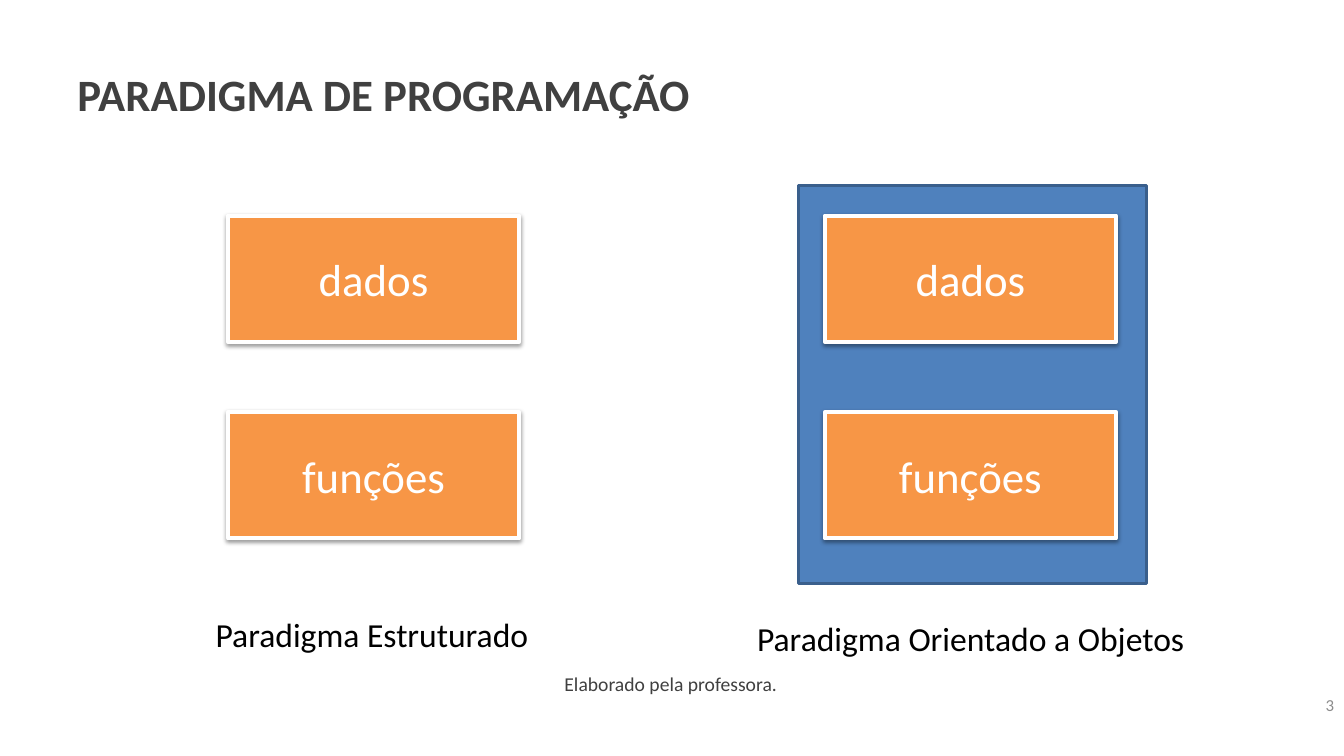
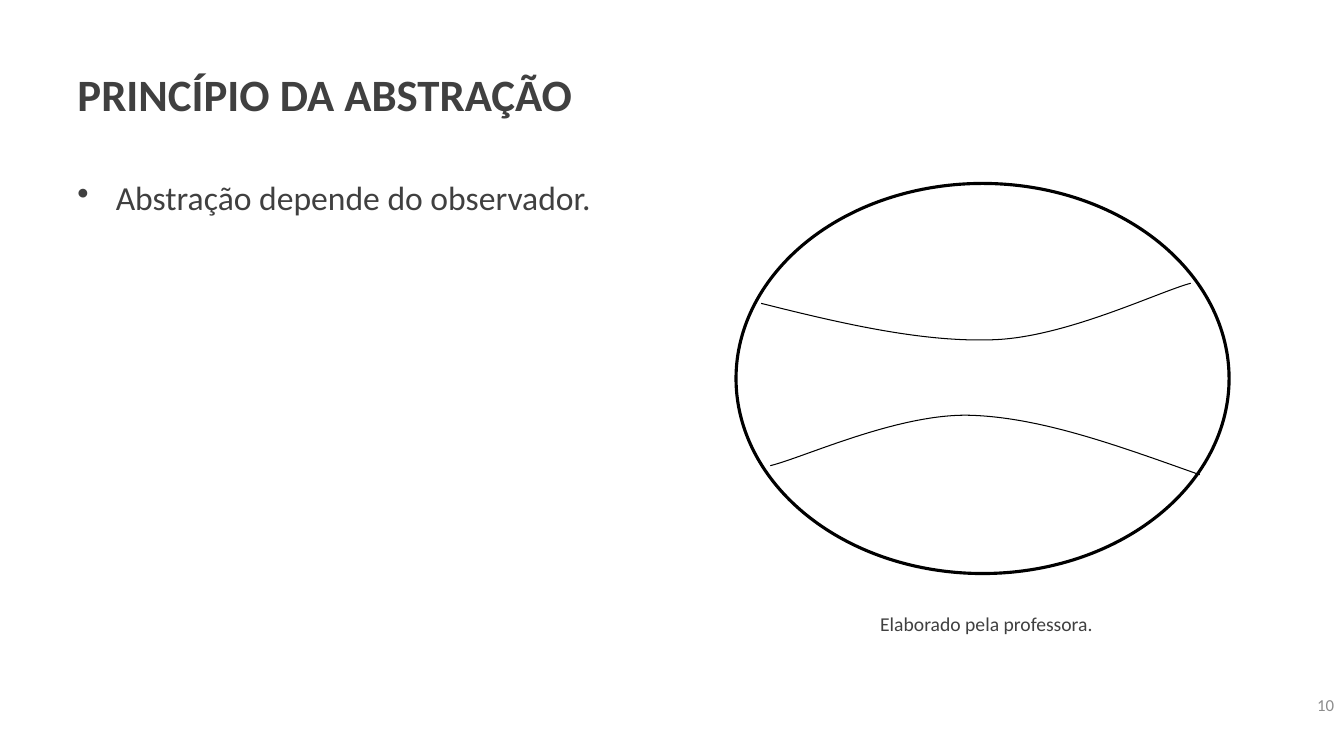
from dataclasses import dataclass

from lxml import etree
from pptx import Presentation
from pptx.dml.color import RGBColor
from pptx.enum.shapes import MSO_SHAPE
from pptx.enum.text import MSO_ANCHOR, MSO_AUTO_SIZE, PP_ALIGN
from pptx.oxml import parse_xml
from pptx.oxml.ns import nsdecls, qn
from pptx.util import Pt

RECTANGLE, OVAL = MSO_SHAPE.RECTANGLE, MSO_SHAPE.OVAL
TOP, MIDDLE = MSO_ANCHOR.TOP, MSO_ANCHOR.MIDDLE
LEFT, CENTER, RIGHT, JUSTIFY = PP_ALIGN.LEFT, PP_ALIGN.CENTER, PP_ALIGN.RIGHT, PP_ALIGN.JUSTIFY
FIT_SHAPE, FIT_NONE = MSO_AUTO_SIZE.SHAPE_TO_FIT_TEXT, MSO_AUTO_SIZE.NONE
PX = 9144


@dataclass(frozen=True)
class Theme:
    """Colours, font and type sizes shared by the slides."""
    font: str = "Calibri"
    white: str = "FFFFFF"
    black: str = "000000"
    text: str = "404040"
    muted: str = "8C8C8C"
    orange: str = "F79646"
    blue: str = "4F81BD"
    blue_edge: str = "3A5F8C"
    title_size: int = 32
    body_size: int = 24
    credit_size: int = 14
    number_size: int = 12


class Deck:
    """Presentation with a theme and the slide being drawn."""

    def __init__(self, theme):
        """Start an empty wide presentation."""
        self.theme = theme
        self.file = Presentation()
        self.file.slide_width, self.file.slide_height = 1333 * PX, 750 * PX
        self.page = None

    def add_page(self, title, number):
        """Add a slide with its title and page number."""
        theme = self.theme
        self.page = self.file.slides.add_slide(self.file.slide_layouts[6])
        self.add_text(title, (67, 30, 1200, 125), theme.title_size, theme.text,
                      bold=True, anchor=MIDDLE)
        self.add_text(str(number), (1022, 679, 311, 40), theme.number_size, theme.muted,
                      align=RIGHT, anchor=MIDDLE)

    def fill_text(self, shape, text, size, color, bold=False, align=LEFT, anchor=TOP, fit=False):
        """Put one formatted paragraph in a shape and return it."""
        frame = shape.text_frame
        frame_format = {"word_wrap": not fit, "vertical_anchor": anchor,
                        "auto_size": FIT_SHAPE if fit else FIT_NONE}
        for name, value in frame_format.items():
            setattr(frame, name, value)
        para = frame.paragraphs[0]
        para.alignment = align
        span = para.add_run()
        span.text = text
        for name, value in {"name": self.theme.font, "size": Pt(size), "bold": bold}.items():
            setattr(span.font, name, value)
        span.font.color.rgb = RGBColor.from_string(color)
        return para

    def add_text(self, text, area, size, color, **text_format):
        """Add a text box and return its paragraph."""
        box = self.page.shapes.add_textbox(*(length * PX for length in area))
        return self.fill_text(box, text, size, color, **text_format)

    def add_bullet(self, text, area):
        """Add a text box holding one justified bullet."""
        para = self.add_text(text, area, self.theme.body_size, self.theme.text, align=JUSTIFY)
        para.line_spacing = 0.9
        properties = para._p.get_or_add_pPr()
        for name, value in {"marL": 38 * PX, "indent": -38 * PX}.items():
            properties.set(name, str(value))
        etree.SubElement(properties, qn("a:buChar")).set("char", "•")

    def add_credit(self, area, align=LEFT):
        """Add the authorship line."""
        self.add_text("Elaborado pela professora.", area, self.theme.credit_size,
                      self.theme.text, align=align, fit=True)

    def paint(self, shape, fill, line, width):
        """Set fill and outline and drop the default shadow."""
        shape.shadow.inherit = False
        if fill:
            shape.fill.solid()
            shape.fill.fore_color.rgb = RGBColor.from_string(fill)
        else:
            shape.fill.background()
        shape.line.color.rgb = RGBColor.from_string(line)
        shape.line.width = Pt(width)

    def add_shape(self, kind, area, fill, line, width):
        """Add a painted preset shape."""
        shape = self.page.shapes.add_shape(kind, *(length * PX for length in area))
        self.paint(shape, fill, line, width)
        return shape

    def add_card(self, text, area):
        """Add an orange card with a soft shadow."""
        theme = self.theme
        card = self.add_shape(RECTANGLE, area, theme.orange, theme.white, 3)
        card._element.spPr.find(qn("a:effectLst")).append(parse_xml(
            f'<a:outerShdw {nsdecls("a")} blurRad="40000" dist="20000" dir="5400000" '
            f'rotWithShape="0"><a:srgbClr val="{theme.black}"><a:alpha val="38000"/>'
            '</a:srgbClr></a:outerShdw>'))
        self.fill_text(card, text, theme.title_size, theme.white, align=CENTER, anchor=MIDDLE)

    def add_curve(self, start, *points):
        """Add an open cubic curve, three points for each segment."""
        builder = self.page.shapes.build_freeform(*start, scale=PX)
        builder.add_line_segments(points, close=False)
        curve = builder.convert_to_shape()
        steps = curve._element.xpath(".//a:lnTo")
        for index in range(0, len(steps), 3):
            segment = etree.Element(qn("a:cubicBezTo"))
            steps[index].addprevious(segment)
            for step in steps[index:index + 3]:
                segment.append(step[0])
                step.getparent().remove(step)
        self.paint(curve, None, self.theme.black, 0.75)


def add_paradigms(deck):
    """Compare the structured and object-oriented paradigms."""
    theme = deck.theme
    deck.add_page("PARADIGMA DE PROGRAMAÇÃO", 3)
    deck.add_shape(RECTANGLE, (792, 184, 345, 395), theme.blue, theme.blue_edge, 2)
    for left in (226, 818):
        for row, label in enumerate(("dados", "funções")):
            deck.add_card(label, (left, 214 + 195 * row, 289, 125))
    for caption, area in (("Paradigma Estruturado", (204, 604, 333, 50)),
                          ("Paradigma Orientado a Objetos", (741, 608, 448, 50))):
        deck.add_text(caption, area, theme.body_size, theme.black, fit=True)
    deck.add_credit((550, 662, 233, 34))


def add_abstraction(deck):
    """Show a ball as an example of abstraction."""
    deck.add_page("PRINCÍPIO DA ABSTRAÇÃO", 10)
    deck.add_bullet("Abstração depende do observador.", (67, 175, 1200, 495))
    deck.add_shape(OVAL, (730, 182, 489, 387), None, deck.theme.black, 2.25)
    deck.add_curve((755, 301), (835, 321), (916, 340), (987, 337),
                   (1058, 334), (1148, 290), (1181, 281))
    deck.add_curve((1190, 471), (1111, 443), (1033, 414), (962, 412),
                   (891, 410), (797, 454), (764, 462))
    deck.add_credit((862, 602, 233, 34), CENTER)


def main():
    """Build and save the slides."""
    deck = Deck(Theme())
    add_paradigms(deck)
    add_abstraction(deck)
    deck.file.save("out.pptx")


if __name__ == "__main__":
    main()
